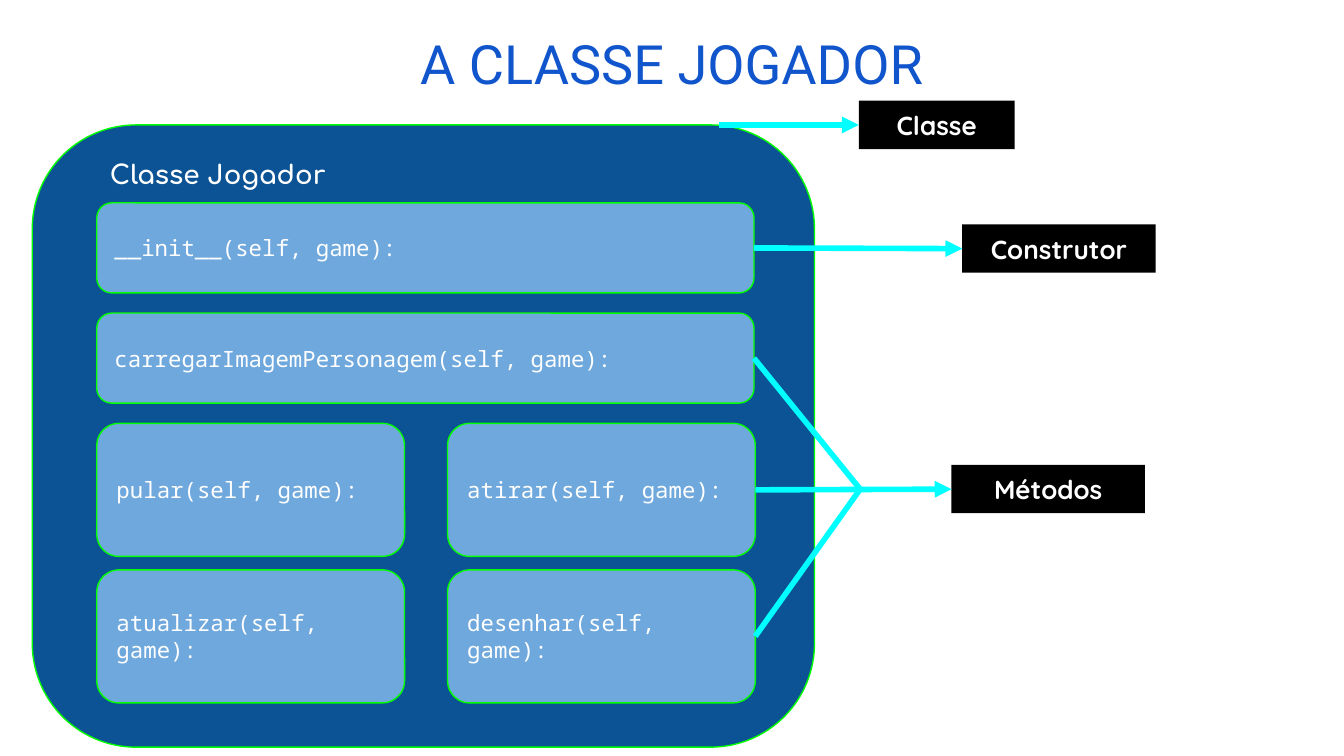
"""Build the slide that explains the parts of the Jogador class."""
from lxml.etree import SubElement
from pptx import Presentation
from pptx.dml.color import RGBColor
from pptx.enum.shapes import MSO_CONNECTOR as Connector, MSO_SHAPE as Shape
from pptx.enum.text import MSO_ANCHOR as Anchor, PP_ALIGN as Align
from pptx.oxml.ns import qn
from pptx.util import Inches, Pt

NAVY = RGBColor(0x0B, 0x53, 0x94)
SKY = RGBColor(0x6F, 0xA8, 0xDC)
TITLE_BLUE = RGBColor(0x11, 0x55, 0xCC)
GREEN = RGBColor(0x00, 0xFF, 0x00)
CYAN = RGBColor(0x00, 0xFF, 0xFF)
BLACK = RGBColor(0x00, 0x00, 0x00)
WHITE = RGBColor(0xFF, 0xFF, 0xFF)

COLUMNS = (0.72, 3.33)
HALF = 2.29
FULL = 4.89
THIN, TALL = 0.67, 0.99
ROWS = ((1.51, THIN), (2.33, THIN), (3.15, TALL), (4.24, TALL))
LABEL_HEIGHT = 0.36
JUNCTION = (Inches(6.4), Inches(3.64))

CODE = {"name": "Noto Sans Mono", "size": Pt(12), "bold": False}
LABEL = {"name": "Quicksand", "size": Pt(14), "bold": True}
HEADING = {"name": "Comfortaa", "size": Pt(14), "bold": True}
TITLE = {"name": "Roboto", "size": Pt(29), "bold": False}


def write(shape, text, font, color=WHITE, align=Align.LEFT, anchor=Anchor.MIDDLE, inset=(0.1, 0.1)):
    frame = shape.text_frame
    frame.word_wrap = True
    frame.vertical_anchor = anchor
    frame.margin_left = frame.margin_right = Inches(inset[0])
    frame.margin_top = frame.margin_bottom = Inches(inset[1])
    paragraph = frame.paragraphs[0]
    paragraph.text = text
    paragraph.alignment = align
    for key, value in font.items():
        setattr(paragraph.font, key, value)
    paragraph.font.color.rgb = color
    return paragraph


def add_box(preset, place, fill, line=None):
    shape = slide.shapes.add_shape(preset, *map(Inches, place))
    shape.shadow.inherit = False
    shape.fill.solid()
    shape.fill.fore_color.rgb = fill
    if line is None:
        shape.line.fill.background()
    else:
        shape.line.color.rgb = line
        shape.line.width = Pt(0.75)
    return shape


presentation = Presentation()
presentation.slide_width = Inches(10)
presentation.slide_height = presentation.slide_width * 9 // 16
slide = presentation.slides.add_slide(presentation.slide_layouts[5])

title = slide.shapes.title
title.left, title.top = 0, Inches(0.16)
title.width, title.height = presentation.slide_width, Inches(0.6)
heading = write(title, "A CLASSE JOGADOR", TITLE, TITLE_BLUE, Align.CENTER, Anchor.BOTTOM, (0.07, 0.04))
heading.line_spacing = 0.9

add_box(Shape.ROUNDED_RECTANGLE, (0.24, 0.93, 5.82, 4.63), NAVY, GREEN)
class_name = slide.shapes.add_textbox(*map(Inches, (COLUMNS[0], 1.08, 1.94, 0.44)))
write(class_name, "Classe Jogador", HEADING, anchor=Anchor.TOP)

methods = {}
for name, column, row, width in (
    ("__init__", 0, 0, FULL),
    ("pular", 0, 2, HALF),
    ("atualizar", 0, 3, HALF),
    ("atirar", 1, 2, HALF),
    ("desenhar", 1, 3, HALF),
    ("carregarImagemPersonagem", 0, 1, FULL),
):
    top, height = ROWS[row]
    methods[name] = add_box(Shape.ROUNDED_RECTANGLE, (COLUMNS[column], top, width, height), SKY, GREEN)
    write(methods[name], f"{name}(self, game):", CODE)

labels = {}
for text, left, top, width in (
    ("Classe", 6.39, 0.75, 1.16),
    ("Construtor", 7.16, 1.67, 1.44),
    ("Métodos", 7.08, 3.46, 1.44),
):
    labels[text] = add_box(Shape.RECTANGLE, (left, top, width, LABEL_HEIGHT), BLACK)
    write(labels[text], text, LABEL, align=Align.CENTER)

for method, label in (
    (None, "Classe"),
    ("__init__", "Construtor"),
    ("atirar", "Métodos"),
    ("carregarImagemPersonagem", None),
    ("desenhar", None),
):
    connector = slide.shapes.add_connector(Connector.STRAIGHT, Inches(5.35), Inches(0.93), *JUNCTION)
    if method:
        connector.begin_connect(methods[method], 3)
    if label:
        connector.end_connect(labels[label], 1)
    connector.line.color.rgb = CYAN
    connector.line.width = Pt(3)
    if label:
        SubElement(connector.line._get_or_add_ln(), qn("a:tailEnd"), type="triangle")
    SubElement(connector._element.spPr, qn("a:effectLst"))

presentation.save("out.pptx")
